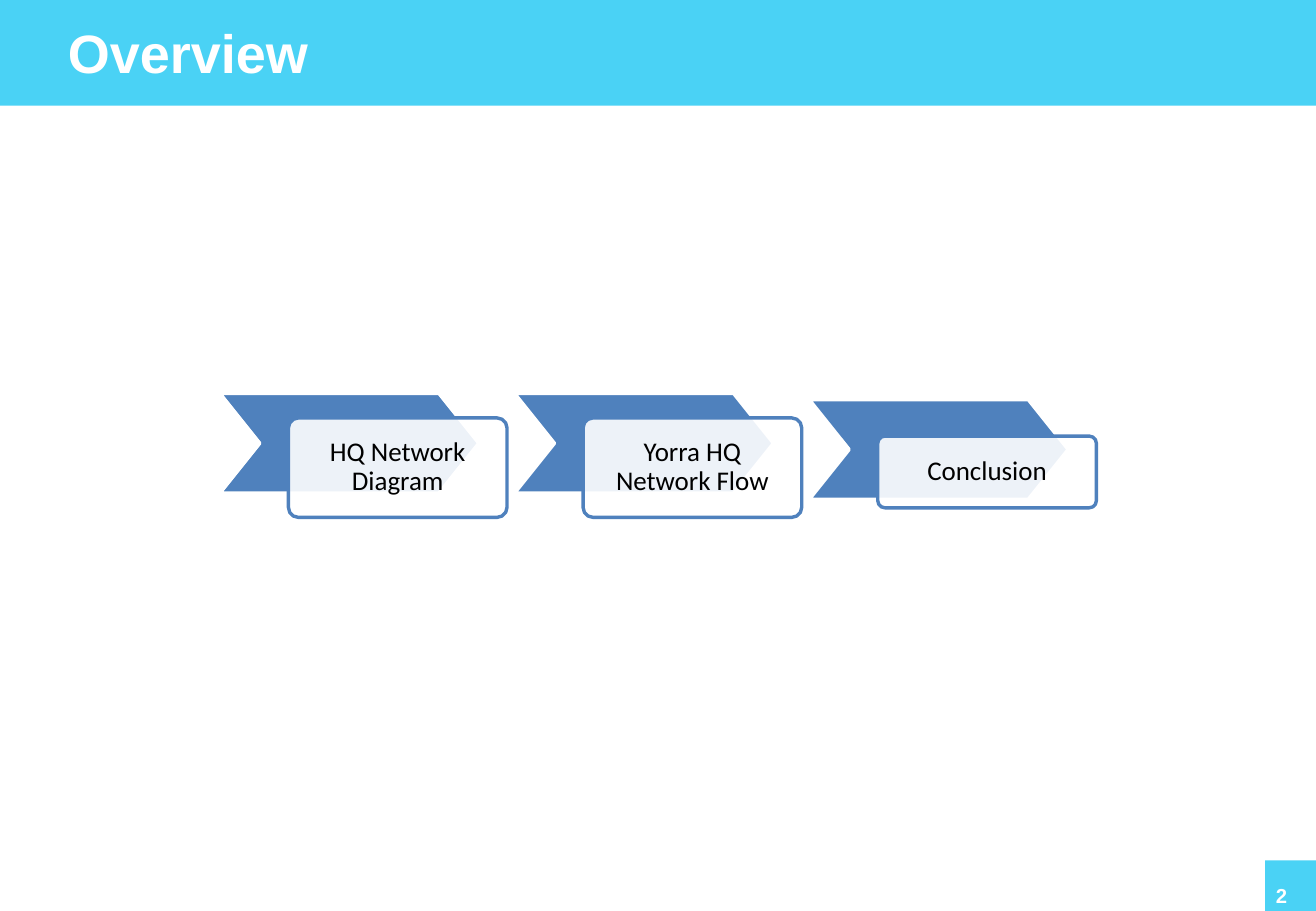
from lxml import etree
from pptx import Presentation
from pptx.dml.color import RGBColor
from pptx.enum.shapes import MSO_SHAPE
from pptx.enum.text import MSO_ANCHOR, PP_ALIGN
from pptx.oxml.ns import qn
from pptx.util import Cm, Pt

TITLE = "Overview"
PAGE_NUMBER = "2"
STEPS = [
    {"label": "HQ Network Diagram", "arrow_top": 8.23, "card_top": 8.74, "card_height": 2.08},
    {"label": "Yorra HQ Network Flow", "arrow_top": 8.23, "card_top": 8.74, "card_height": 2.08},
    {"label": "Conclusion", "arrow_top": 8.36, "card_top": 9.12, "card_height": 1.5},
]
COLORS = {"band": "4AD2F5", "step": "4F81BD", "white": "FFFFFF", "black": "000000"}

SLIDE_WIDTH, SLIDE_HEIGHT = 27.51, 19.05
BAND_HEIGHT = 2.21
CORNER = 1.06
FIRST_LEFT, STEP_PITCH = 4.6, 6.16
ARROW_WIDTH, ARROW_HEIGHT = 5.41, 2.08
CARD_OFFSET, CARD_WIDTH = 1.43, 4.57


def color(name):
    return RGBColor.from_string(COLORS[name])


def add_block(page, kind, left, top, width, height, fill, line=None, adjust=None, opacity=None):
    block = page.shapes.add_shape(kind, Cm(left), Cm(top), Cm(width), Cm(height))
    block.shadow.inherit = False
    block.fill.solid()
    block.fill.fore_color.rgb = color(fill)
    if line:
        block.line.color.rgb = color(line)
        block.line.width = Pt(2)
    else:
        block.line.fill.background()
    if adjust is not None:
        block.adjustments[0] = adjust
    if opacity is not None:
        shade = block.fill._xPr.find(qn("a:solidFill"))[0]
        etree.SubElement(shade, qn("a:alpha")).set("val", str(opacity * 1000))
    return block


def write_text(box, text, size, font="Arial", ink="white", bold=False, align=PP_ALIGN.LEFT,
               anchor=MSO_ANCHOR.BOTTOM, insets=(0.25, 0.13, 0.25, 0.13), spacing=1.0):
    frame = box.text_frame
    frame.word_wrap = True
    frame.vertical_anchor = anchor
    frame.margin_left, frame.margin_top, frame.margin_right, frame.margin_bottom = map(Cm, insets)
    para = frame.paragraphs[0]
    para.alignment = align
    para.line_spacing = spacing
    span = para.add_run()
    span.text = text
    span.font.name = font
    span.font.size = Pt(size)
    span.font.bold = bold
    span.font.color.rgb = color(ink)


def add_step(page, index, step):
    left = FIRST_LEFT + index * STEP_PITCH
    add_block(page, MSO_SHAPE.CHEVRON, left, step["arrow_top"], ARROW_WIDTH, ARROW_HEIGHT,
              "step", line="white", adjust=0.4)
    card = add_block(page, MSO_SHAPE.ROUNDED_RECTANGLE, left + CARD_OFFSET, step["card_top"],
                     CARD_WIDTH, step["card_height"], "white", line="step", adjust=0.1, opacity=90)
    write_text(card, step["label"], 16, font="Calibri", ink="black", align=PP_ALIGN.CENTER,
               anchor=MSO_ANCHOR.MIDDLE, insets=(0.32, 0.32, 0.32, 0.32), spacing=0.9)


def main():
    deck = Presentation()
    deck.slide_width, deck.slide_height = Cm(SLIDE_WIDTH), Cm(SLIDE_HEIGHT)
    page = deck.slides.add_slide(deck.slide_layouts[6])

    add_block(page, MSO_SHAPE.RECTANGLE, 0, 0, SLIDE_WIDTH, BAND_HEIGHT, "band")
    title = page.shapes.add_textbox(Cm(1.17), Cm(0.3), Cm(19.15), Cm(1.6))
    write_text(title, TITLE, 32, bold=True)

    corner = add_block(page, MSO_SHAPE.RECTANGLE, SLIDE_WIDTH - CORNER, SLIDE_HEIGHT - CORNER,
                       CORNER, CORNER, "band")
    write_text(corner, PAGE_NUMBER, 12, bold=True, insets=(0.22, 0, 0, 0.08))

    for index, step in enumerate(STEPS):
        add_step(page, index, step)

    deck.save("out.pptx")


if __name__ == "__main__":
    main()
